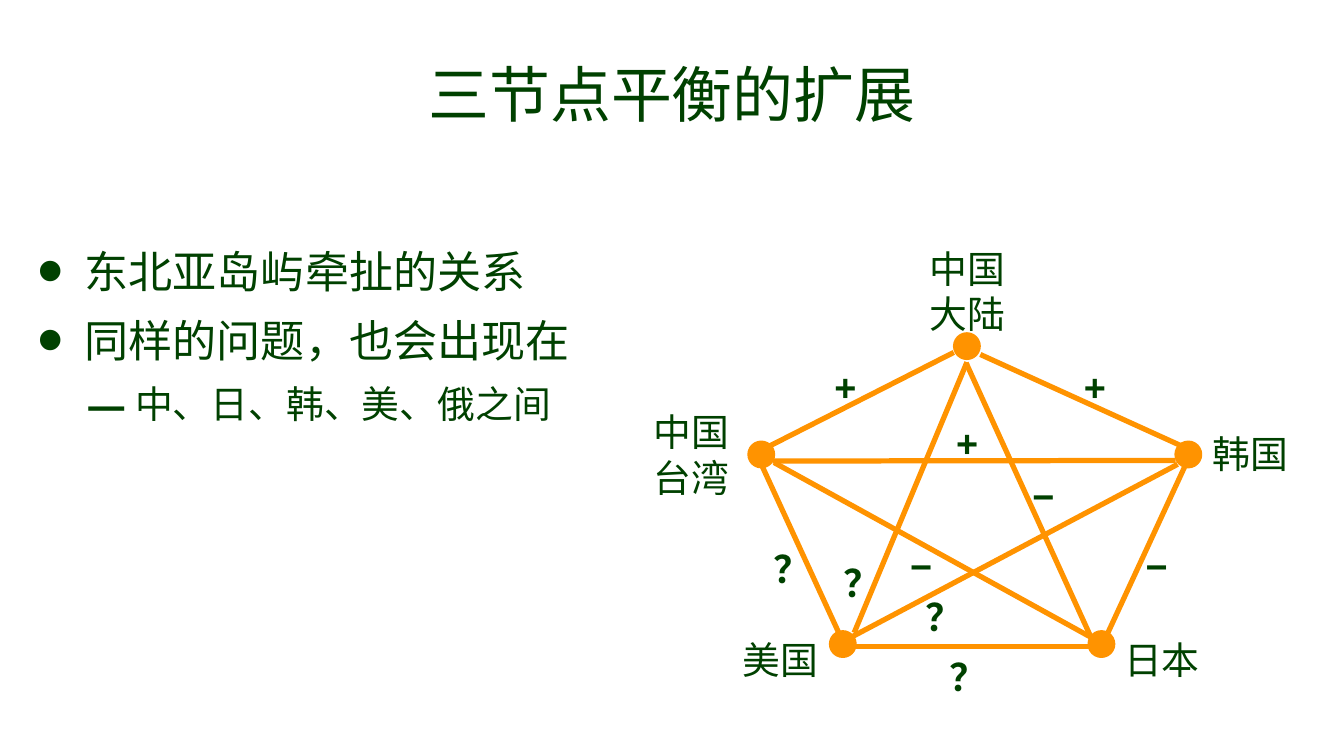
from lxml import etree
from pptx import Presentation
from pptx.dml.color import RGBColor
from pptx.enum.shapes import MSO_CONNECTOR, MSO_SHAPE
from pptx.enum.text import MSO_ANCHOR, MSO_AUTO_SIZE, PP_ALIGN
from pptx.oxml.ns import qn
from pptx.util import Cm, Pt

OVAL = MSO_SHAPE.OVAL
STRAIGHT = MSO_CONNECTOR.STRAIGHT
MIDDLE = MSO_ANCHOR.MIDDLE
CENTER = PP_ALIGN.CENTER
NO_FIT = MSO_AUTO_SIZE.NONE

COLORS = {"text": "004100", "graph": "FF9300"}
LINE_WIDTH = Pt(5)
NODE_SIZE = 0.76


def set_frame(frame, inset, wrap):
    settings = {
        "auto_size": NO_FIT, "vertical_anchor": MIDDLE, "word_wrap": wrap,
        "margin_left": Cm(inset), "margin_right": Cm(inset),
        "margin_top": Cm(inset), "margin_bottom": Cm(inset),
    }
    for name, value in settings.items():
        setattr(frame, name, value)


def set_font(font, size, bold=False):
    for name, value in {"name": "Arial", "size": Pt(size), "bold": bold}.items():
        setattr(font, name, value)
    font.color.rgb = RGBColor.from_string(COLORS["text"])


deck = Presentation()
deck.slide_width, deck.slide_height = Cm(45.16), Cm(25.4)
page = deck.slides.add_slide(deck.slide_layouts[5])

# Title
title = page.shapes.title
title.left, title.top, title.width, title.height = Cm(2.26), Cm(0.33), Cm(40.64), Cm(5.59)
set_frame(title.text_frame, 0, True)
title.text_frame.text = "三节点平衡的扩展"
heading = title.text_frame.paragraphs[0]
heading.alignment = CENTER
set_font(heading.runs[0].font, 58)

# Bullet list: text, level, bullet, left margin, size
bullets = [
    ("东北亚岛屿牵扯的关系", 0, "•", 2.0, 42),
    ("同样的问题，也会出现在", 0, "•", 2.0, 42),
    ("中、日、韩、美、俄之间", 1, "–", 3.7, 36),
]
body = page.shapes.add_textbox(Cm(0.84), Cm(7.06), Cm(19.66), Cm(8.23))
set_frame(body.text_frame, 0, True)
for index, (text, level, bullet, margin, size) in enumerate(bullets):
    para = body.text_frame.paragraphs[0] if index == 0 else body.text_frame.add_paragraph()
    para.level = level
    para.line_spacing = 1.1
    para.space_before = Pt(10 if index else 0)
    properties = para._p.get_or_add_pPr()
    properties.set("marL", str(Cm(margin)))
    properties.set("indent", str(Cm(-1.57)))
    etree.SubElement(properties, qn("a:buSzPct"), val="171000")
    etree.SubElement(properties, qn("a:buFont"), typeface="Arial")
    etree.SubElement(properties, qn("a:buChar"), char=bullet)
    span = para.add_run()
    span.text = text
    set_font(span.font, size)

# Nodes of the relation graph, by centre
nodes = [(32.49, 11.63), (25.58, 15.27), (39.93, 15.27), (28.32, 21.64), (37.01, 21.64)]
for x, y in nodes:
    node = page.shapes.add_shape(OVAL, Cm(x - NODE_SIZE / 2), Cm(y - NODE_SIZE / 2),
                                 Cm(NODE_SIZE), Cm(NODE_SIZE))
    node.shadow.inherit = False
    node.fill.solid()
    for color in (node.fill.fore_color, node.line.color):
        color.rgb = RGBColor.from_string(COLORS["graph"])
    node.line.width = LINE_WIDTH

# Edges: five sides, then five diagonals
edges = [
    (25.81, 15.01, 32.05, 11.84),
    (32.94, 11.91, 39.65, 14.96),
    (40.08, 15.09, 37.19, 21.34),
    (25.37, 15.14, 28.22, 21.34),
    (28.68, 21.72, 36.65, 21.72),
    (25.96, 15.49, 39.5, 15.47),
    (32.49, 12.17, 28.7, 21.26),
    (32.46, 12.19, 36.68, 21.46),
    (28.6, 21.41, 39.57, 15.6),
    (26.01, 15.54, 36.8, 21.49),
]
for ends in edges:
    edge = page.shapes.add_connector(STRAIGHT, *map(Cm, ends))
    edge.line.color.rgb = RGBColor.from_string(COLORS["graph"])
    edge.line.width = LINE_WIDTH
    etree.SubElement(edge._element.spPr, qn("a:effectLst"))

# Node names and edge signs: text, centre x, centre y, width, bold
labels = [
    ("中国\n大陆", 32.51, 9.78, 3.15, False),
    ("中国\n台湾", 23.22, 15.27, 3.15, False),
    ("韩国", 42.01, 15.24, 3.15, False),
    ("日本", 39.04, 22.15, 3.15, False),
    ("美国", 26.21, 22.15, 3.15, False),
    ("+", 28.41, 12.98, 1.35, True),
    ("−", 35.06, 16.64, 1.35, True),
    ("+", 36.79, 12.98, 1.35, True),
    ("+", 32.5, 14.86, 1.35, True),
    ("−", 38.87, 19, 1.35, True),
    ("−", 30.95, 19, 1.35, True),
    ("？", 28.98, 19.58, 1.88, True),
    ("？", 31.72, 20.7, 1.88, True),
    ("？", 26.62, 19.1, 1.88, True),
    ("？", 32.54, 22.71, 1.88, True),
]
for text, x, y, width, bold in labels:
    height = 3.35 if "\n" in text else 1.83
    box = page.shapes.add_textbox(Cm(x - width / 2), Cm(y - height / 2), Cm(width), Cm(height))
    set_frame(box.text_frame, 0.15, False)
    box.text_frame.text = text
    for para in box.text_frame.paragraphs:
        para.alignment = CENTER
        set_font(para.runs[0].font, 36, bold)

deck.save("out.pptx")
